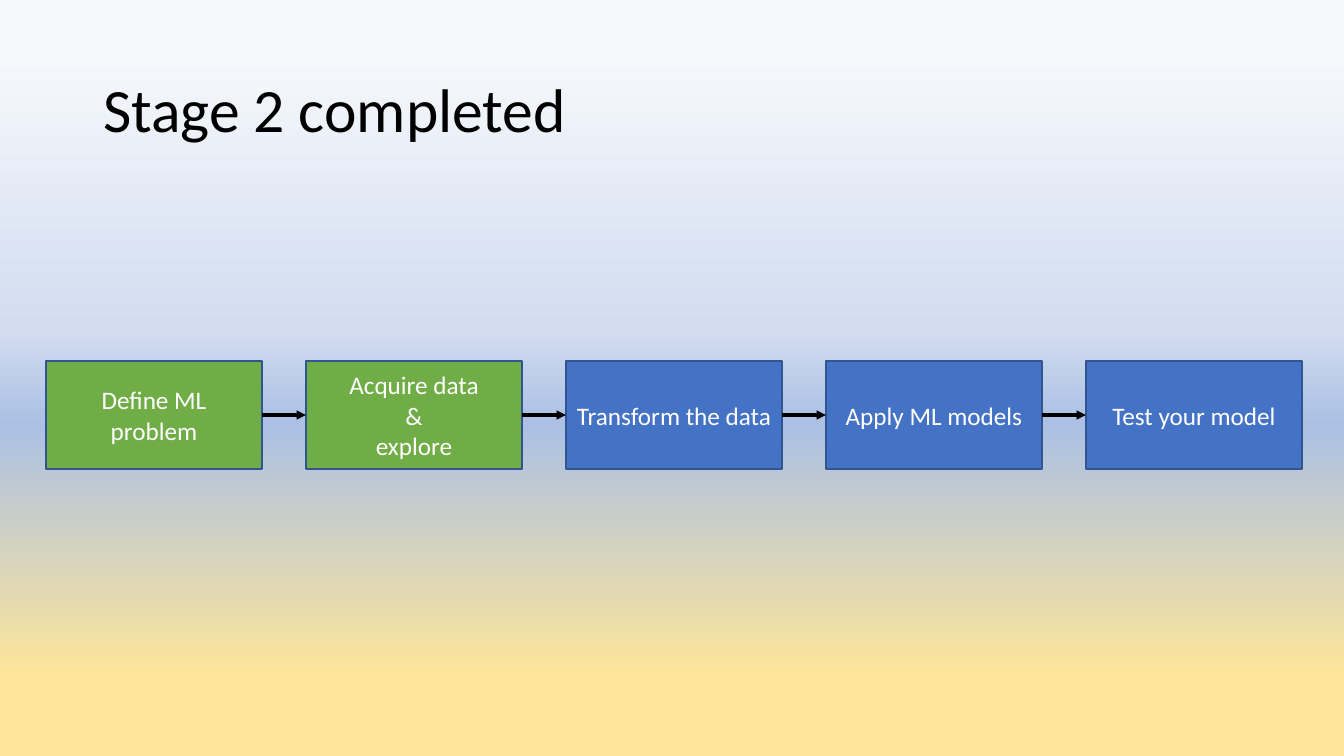
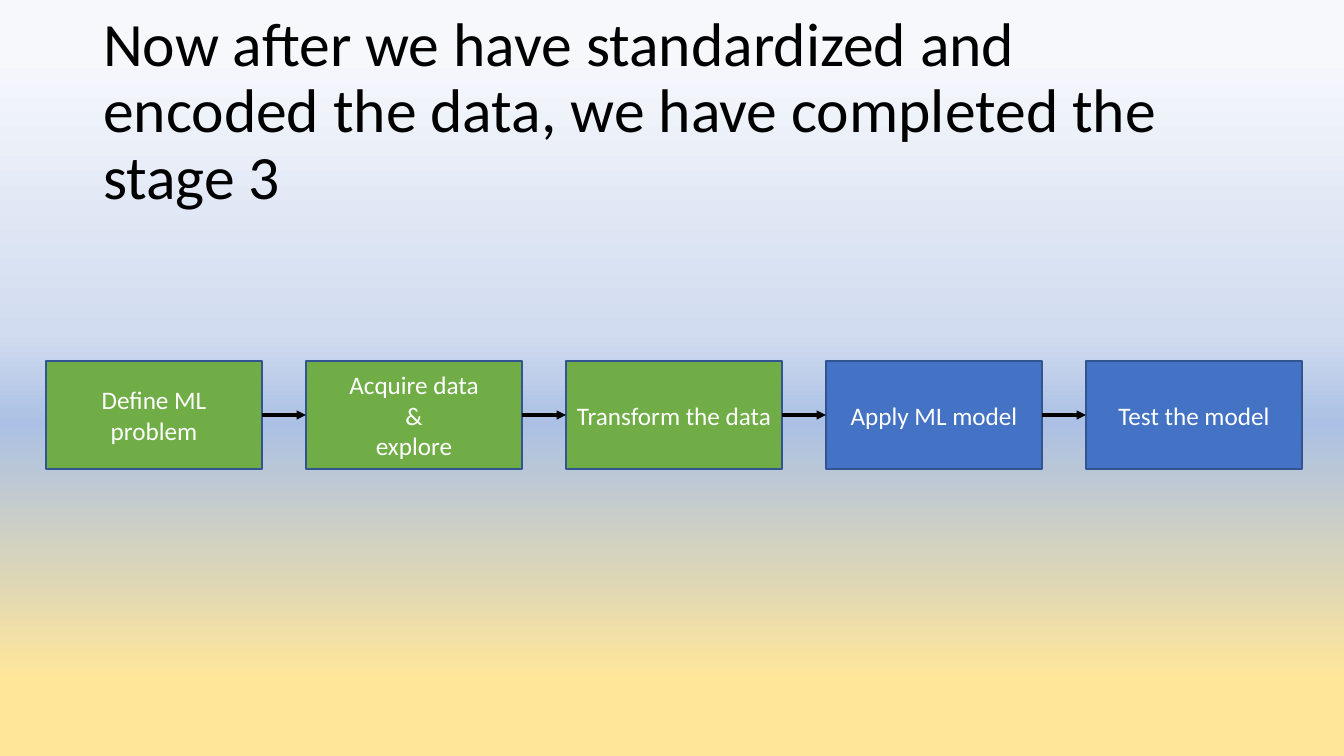
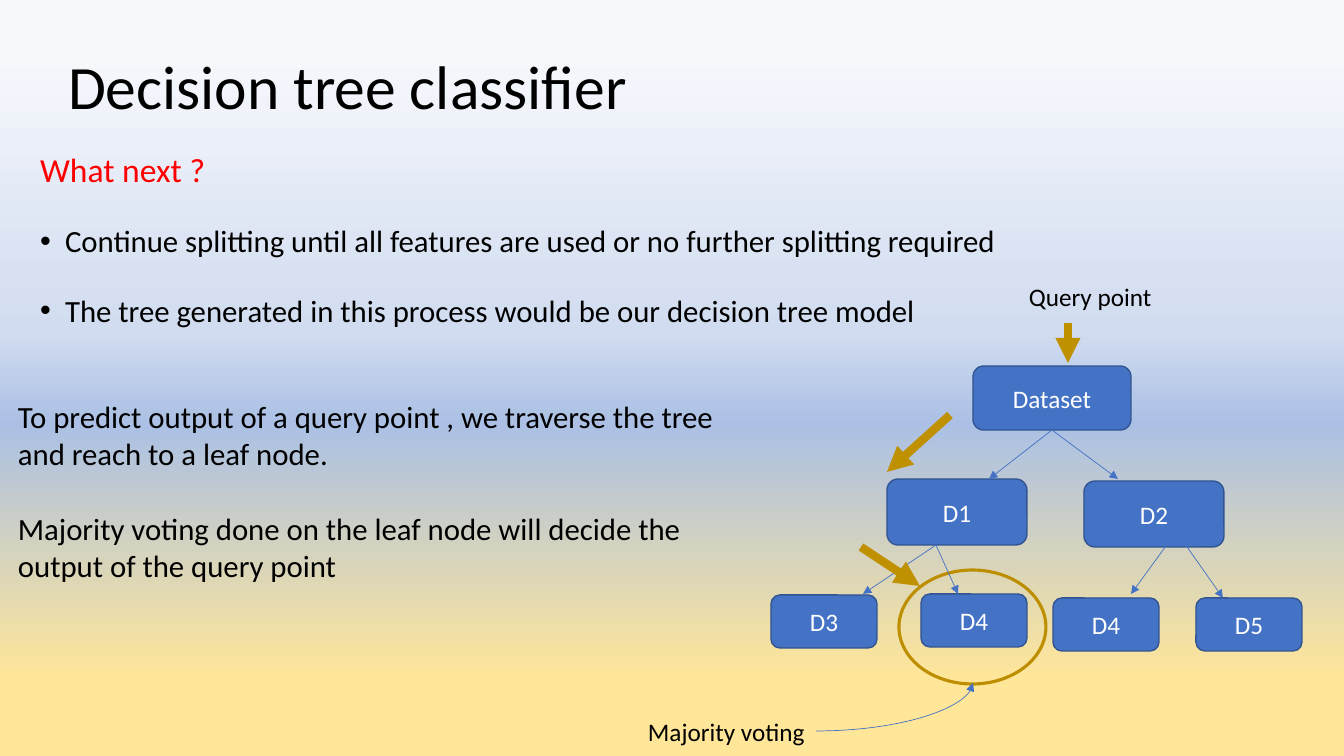
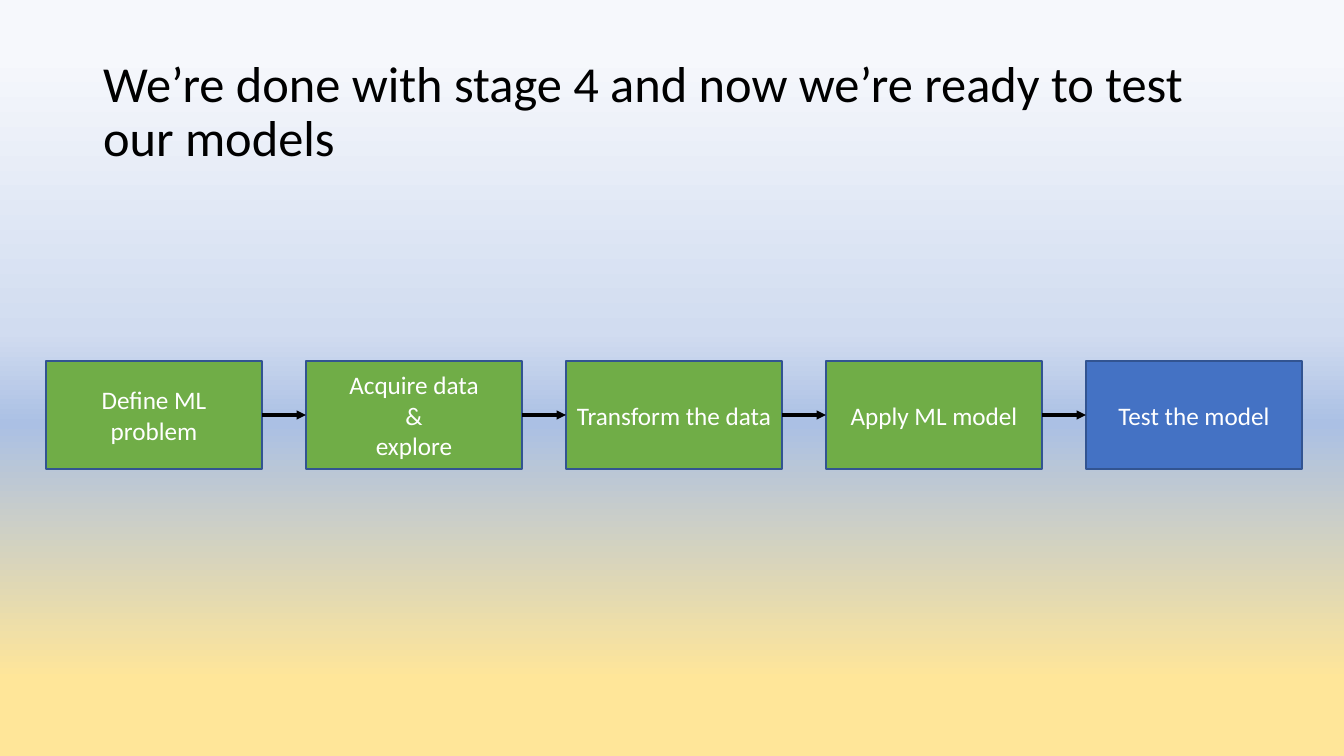
from copy import deepcopy

from lxml.etree import SubElement
from pptx import Presentation
from pptx.dml.color import RGBColor
from pptx.enum.shapes import MSO_CONNECTOR as Link, MSO_SHAPE as Preset
from pptx.enum.text import MSO_ANCHOR as Anchor, MSO_AUTO_SIZE as AutoSize, PP_ALIGN as Align
from pptx.oxml.ns import qn
from pptx.util import Pt

WIDTH, HEIGHT = 1344, 756
SCALE = 12192000 / WIDTH
FONT = "Calibri"
COLORS = {
    "black": "000000",
    "white": "FFFFFF",
    "red": "FF0000",
    "blue": "4472C4",
    "outline": "325491",
    "green": "70AD47",
    "gold": "BF9000",
    "ring": "BD8E00",
    "sky_top": "F6F8FC",
    "sky_low": "D1DCF0",
    "horizon": "ABC0E4",
    "sand": "FFE699",
}
BACKDROP = [(0.07, "sky_top"), (0.44, "sky_low"), (0.56, "horizon"), (0.9, "sand")]
TITLE_BOX = (93, 40, 1159, 146)
FLOW_BOX = (46, 361, 1256, 108)
STAGES = ["Define ML problem", "Acquire data\n&\nexplore", "Transform the data"]
FIRST_PLAN = STAGES + ["Apply ML models", "Test your model"]
FINAL_PLAN = STAGES + ["Apply ML model", "Test the model"]


def px(*values):
    return [round(value * SCALE) for value in values]


def color(name):
    return RGBColor.from_string(COLORS[name])


def style(para, size, name, align=Align.LEFT):
    para.font.name = FONT
    para.font.size = Pt(size)
    para.font.color.rgb = color(name)
    para.alignment = align


def place(shape, box):
    shape.left, shape.top, shape.width, shape.height = px(*box)


def paint_backdrop(master):
    fill = master.background.fill
    fill.gradient()
    fill.gradient_angle = 270
    stops = master.element.find(".//" + qn("a:gsLst"))
    while len(stops) < len(BACKDROP):
        stops.append(deepcopy(stops[0]))
    for stop, (position, name) in zip(fill.gradient_stops, BACKDROP):
        stop.position = position
        stop.color.rgb = color(name)


def add_page(deck, layout, title, box=TITLE_BOX, size=44):
    page = deck.slides.add_slide(deck.slide_layouts.get_by_name(layout))
    heading = page.shapes.title
    place(heading, box)
    frame = heading.text_frame
    frame.text = title
    frame.auto_size = AutoSize.NONE
    frame.vertical_anchor = Anchor.MIDDLE
    para = frame.paragraphs[0]
    style(para, size, "black")
    para.line_spacing = 0.9
    return page


def add_node(page, preset, box, text, fill="blue"):
    node = page.shapes.add_shape(preset, *px(*box))
    node.shadow.inherit = False
    node.fill.solid()
    node.fill.fore_color.rgb = color(fill)
    node.line.color.rgb = color("outline")
    node.line.width = Pt(1)
    node.text_frame.text = text
    node.text_frame.vertical_anchor = Anchor.MIDDLE
    for para in node.text_frame.paragraphs:
        style(para, 18, "white", Align.CENTER)
    return node


def add_arrow(page, start, end, name, width, kind=Link.STRAIGHT):
    arrow = page.shapes.add_connector(kind, *px(*start, *end))
    arrow.line.color.rgb = color(name)
    arrow.line.width = Pt(width)
    properties = arrow.element.spPr
    SubElement(properties.find(qn("a:ln")), qn("a:tailEnd"), type="triangle")
    SubElement(properties, qn("a:effectLst"))
    return arrow


def add_text(page, box, lines, size, wrap=True, gap=0):
    label = page.shapes.add_textbox(*px(*box))
    frame = label.text_frame
    frame.word_wrap = wrap
    frame.text = "\n".join(lines)
    for index, para in enumerate(frame.paragraphs):
        style(para, size, "black")
        para.space_before = Pt(gap if index else 0)


def add_flow(page, box, stages, done):
    left, top, width, height = box
    gap = 44
    step = (width + gap) // len(stages)
    nodes = [
        add_node(page, Preset.RECTANGLE, (left + index * step, top, step - gap, height),
                 text, "green" if index < done else "blue")
        for index, text in enumerate(stages)
    ]
    for before, after in zip(nodes, nodes[1:]):
        arrow = add_arrow(page, (0, 0), (1, 1), "black", 2.25)
        arrow.begin_connect(before, 3)
        arrow.end_connect(after, 1)


def add_bullets(page, box, heading, points):
    body = page.placeholders[1]
    place(body, box)
    frame = body.text_frame
    frame.text = "\n".join([heading] + points)
    frame.auto_size = AutoSize.NONE
    for index, para in enumerate(frame.paragraphs):
        style(para, 22 if index else 24, "black" if index else "red")
        para.line_spacing = 1.5
        para.space_before = Pt(10)
        indent = px(25)[0] if index else 0
        properties = para._p.get_or_add_pPr()
        properties.set("marL", str(indent))
        properties.set("indent", str(-indent))
        if index:
            SubElement(properties, qn("a:buChar"), char="•")
        else:
            SubElement(properties, qn("a:buNone"))


def add_tree(page, left, top):
    def at(x, y):
        return left + x, top + y

    branch, leaf = (140, 66), (106, 53)
    nodes = [
        ("Dataset", (335, 90), (158, 64)),
        ("D1", (249, 203), branch),
        ("D2", (446, 205), branch),
        ("D3", (133, 319), leaf),
        ("D4", (283, 318), leaf),
        ("D4", (415, 322), leaf),
        ("D5", (558, 322), leaf),
    ]
    for text, corner, size in nodes:
        add_node(page, Preset.ROUNDED_RECTANGLE, (*at(*corner), *size), text)

    ring = page.shapes.add_shape(Preset.OVAL, *px(*at(261, 294), 147, 114))
    ring.shadow.inherit = False
    ring.fill.background()
    ring.line.color.rgb = color("ring")
    ring.line.width = Pt(2.25)

    edges = [
        ((414, 154), (351, 203)),
        ((414, 154), (480, 203)),
        ((298, 269), (225, 318)),
        ((298, 269), (320, 318)),
        ((528, 270), (493, 318)),
        ((547, 268), (585, 322)),
    ]
    query_steps = [
        ((430, 47), (430, 87)),
        ((312, 139), (249, 196)),
        ((223, 271), (282, 310)),
    ]
    for links, name, width in ((edges, "blue", 0.5), (query_steps, "gold", 6)):
        for start, end in links:
            add_arrow(page, at(*start), at(*end), name, width)

    curve = add_arrow(page, at(178, 455), at(335, 407), "blue", 0.5, Link.CURVE)
    curve.element.spPr.find(qn("a:prstGeom")).set("prst", "curvedConnector2")
    add_text(page, (*at(0, 435), 178, 40), ["Majority voting"], 18, wrap=False)
    add_text(page, (*at(381, 0), 144, 40), ["Query point"], 18, wrap=False)


def add_flow_page(deck, title, stages, done, size=44):
    page = add_page(deck, "Title Only", title, size=size)
    add_flow(page, FLOW_BOX, stages, done)


def add_tree_page(deck):
    page = add_page(deck, "Title and Content", "Decision tree classifier", (58, 17, 1159, 146))
    add_bullets(page, (30, 124, 1159, 546), "What next ?", [
        "Continue splitting until all features are used or no further splitting required",
        "The tree generated in this process would be our decision tree model",
    ])
    add_text(page, (8, 393, 755, 197), [
        "To predict output of a query point , we traverse the tree and reach to a leaf node.",
        "Majority voting done on the leaf node will decide the output of the query point",
    ], 22, gap=27)
    add_tree(page, 638, 276)


def main():
    deck = Presentation()
    deck.slide_width, deck.slide_height = px(WIDTH, HEIGHT)
    paint_backdrop(deck.slide_master)
    add_flow_page(deck, "Stage 2 completed", FIRST_PLAN, 2)
    add_flow_page(
        deck,
        "Now after we have standardized and encoded the data, we have completed the stage 3",
        FINAL_PLAN, 3)
    add_tree_page(deck)
    add_flow_page(
        deck, "We’re done with stage 4 and now we’re ready to test our models",
        FINAL_PLAN, 4, size=36)
    deck.save("out.pptx")


if __name__ == "__main__":
    main()
